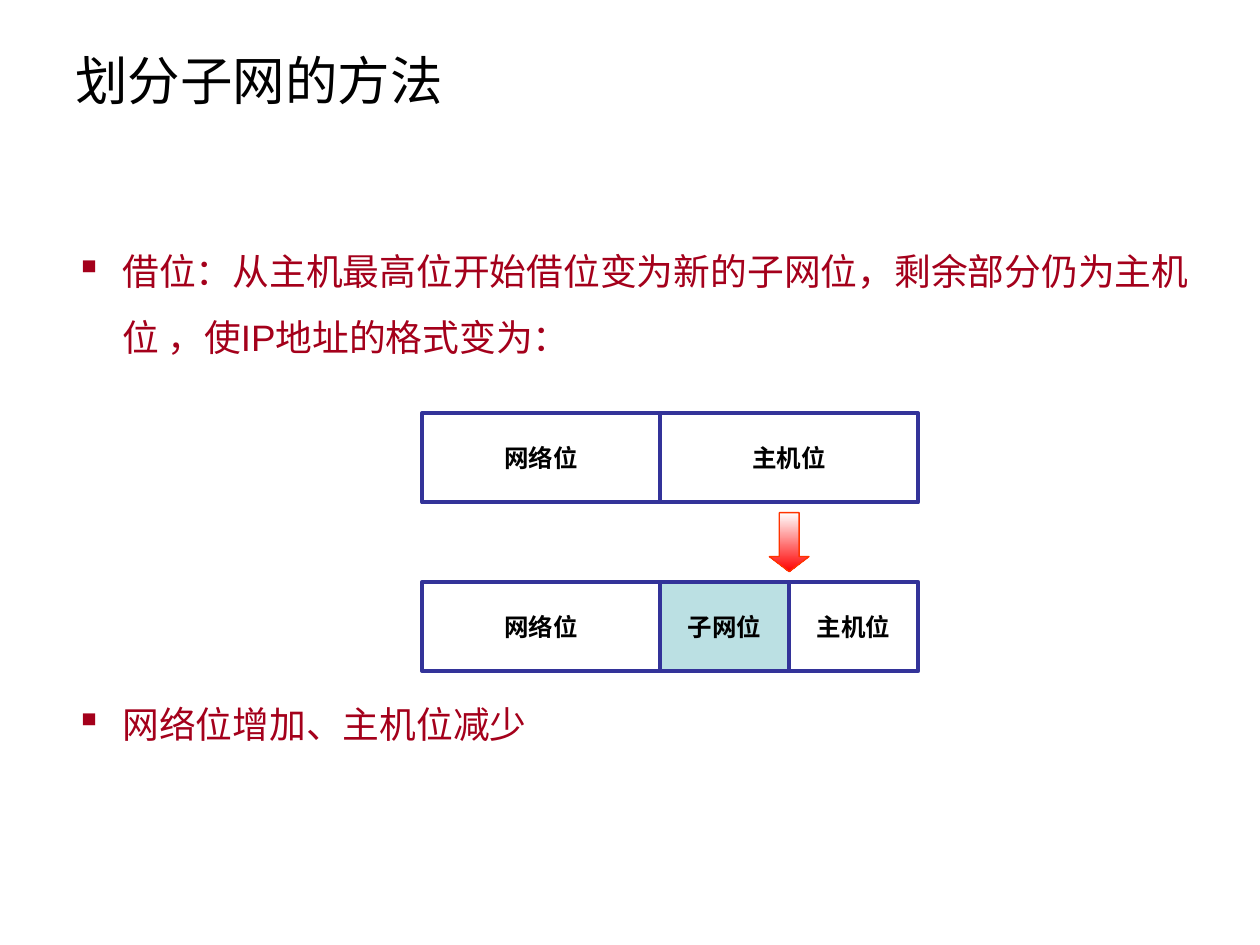
from dataclasses import dataclass
from typing import Optional

from lxml import etree
from pptx import Presentation
from pptx.dml.color import RGBColor
from pptx.enum.shapes import MSO_SHAPE
from pptx.enum.text import MSO_ANCHOR, PP_ALIGN
from pptx.oxml.ns import qn
from pptx.util import Cm, Pt

RECTANGLE = MSO_SHAPE.RECTANGLE
DOWN_ARROW = MSO_SHAPE.DOWN_ARROW
MIDDLE = MSO_ANCHOR.MIDDLE
LEFT, CENTER = PP_ALIGN.LEFT, PP_ALIGN.CENTER

BLACK = RGBColor(0x00, 0x00, 0x00)
WHITE = RGBColor(0xFF, 0xFF, 0xFF)
RED = RGBColor(0xFF, 0x00, 0x00)
ARROW_EDGE = RGBColor(0xFF, 0x33, 0x00)
CRIMSON = RGBColor(0xA4, 0x00, 0x1B)
NAVY = RGBColor(0x33, 0x33, 0x99)
PALE_TEAL = RGBColor(0xBB, 0xE0, 0xE3)

FONT = "Arial"
BULLET_INDENT = Cm(0.95)
ADDRESS_LEFT = 8.51
FIELD_HEIGHT = 1.8
NETWORK_WIDTH, HOST_WIDTH = 4.8, 5.2
BEFORE_TOP, AFTER_TOP = 8.33, 11.73
ARROW_WIDTH, ARROW_HEIGHT = 0.8, 1.19


@dataclass(frozen=True)
class Field:
    label: str
    width: float
    fill: Optional[RGBColor] = None


BEFORE = [Field("网络位", NETWORK_WIDTH), Field("主机位", HOST_WIDTH)]
AFTER = [
    Field("网络位", NETWORK_WIDTH),
    Field("子网位", HOST_WIDTH / 2, PALE_TEAL),
    Field("主机位", HOST_WIDTH / 2),
]


def write_text(para, text: str, *, size: float, color: RGBColor,
               bold: bool = False, align=LEFT) -> None:
    para.alignment = align
    span = para.add_run()
    span.text = text
    span.font.name = FONT
    span.font.size = Pt(size)
    span.font.bold = bold
    span.font.color.rgb = color


def add_bullet(para) -> None:
    properties = para._p.get_or_add_pPr()
    properties.set("marL", str(BULLET_INDENT))
    properties.set("indent", str(-BULLET_INDENT))
    etree.SubElement(properties, qn("a:buChar"), char="▪")
    para.line_spacing = 1.5


def add_text_box(page, left: float, top: float, width: float, height: float):
    box = page.shapes.add_textbox(Cm(left), Cm(top), Cm(width), Cm(height))
    box.text_frame.word_wrap = True
    return box.text_frame


def add_outlined_shape(page, kind, left: float, top: float, width: float,
                       height: float, *, line: RGBColor, weight: float):
    shape = page.shapes.add_shape(kind, Cm(left), Cm(top), Cm(width), Cm(height))
    shape.shadow.inherit = False
    shape.line.color.rgb = line
    shape.line.width = Pt(weight)
    return shape


def draw_address(page, fields: list[Field], top: float) -> None:
    """Draw the fields of an address side by side."""
    left = ADDRESS_LEFT
    for field in fields:
        box = add_outlined_shape(page, RECTANGLE, left, top, field.width,
                                 FIELD_HEIGHT, line=NAVY, weight=2.25)
        if field.fill is None:
            box.fill.background()
        else:
            box.fill.solid()
            box.fill.fore_color.rgb = field.fill
        frame = box.text_frame
        frame.word_wrap = False
        frame.vertical_anchor = MIDDLE
        write_text(frame.paragraphs[0], field.label, size=14, color=BLACK,
                   bold=True, align=CENTER)
        left += field.width


def draw_arrow(page) -> None:
    """Draw the arrow centred on the host field, between the two addresses."""
    center = ADDRESS_LEFT + NETWORK_WIDTH + HOST_WIDTH / 2
    middle = (BEFORE_TOP + FIELD_HEIGHT + AFTER_TOP) / 2
    arrow = add_outlined_shape(page, DOWN_ARROW, center - ARROW_WIDTH / 2,
                               middle - ARROW_HEIGHT / 2, ARROW_WIDTH,
                               ARROW_HEIGHT, line=ARROW_EDGE, weight=0.75)
    arrow.adjustments[0] = 0.5
    arrow.adjustments[1] = 0.38
    arrow.fill.gradient()
    arrow.fill.gradient_angle = 270
    for stop, color in zip(arrow.fill.gradient_stops, (WHITE, RED)):
        stop.color.rgb = color


def main() -> None:
    deck = Presentation()
    deck.slide_width, deck.slide_height = Cm(25.4), Cm(19.05)
    page = deck.slides.add_slide(deck.slide_layouts[6])

    title = add_text_box(page, 1.27, 0.53, 20.83, 2.16)
    title.vertical_anchor = MIDDLE
    write_text(title.paragraphs[0], "划分子网的方法", size=30, color=BLACK)

    body = add_text_box(page, 1.27, 4.45, 23.04, 12.29)
    borrowing = body.paragraphs[0]
    result = body.add_paragraph()
    for para, text in (
        (borrowing, "借位：从主机最高位开始借位变为新的子网位，剩余部分仍为主机位 ，使IP地址的格式变为："),
        (result, "网络位增加、主机位减少"),
    ):
        add_bullet(para)
        write_text(para, text, size=21, color=CRIMSON)
    result.space_before = Pt(183)

    draw_address(page, BEFORE, BEFORE_TOP)
    draw_address(page, AFTER, AFTER_TOP)
    draw_arrow(page)

    deck.save("out.pptx")


if __name__ == "__main__":
    main()
